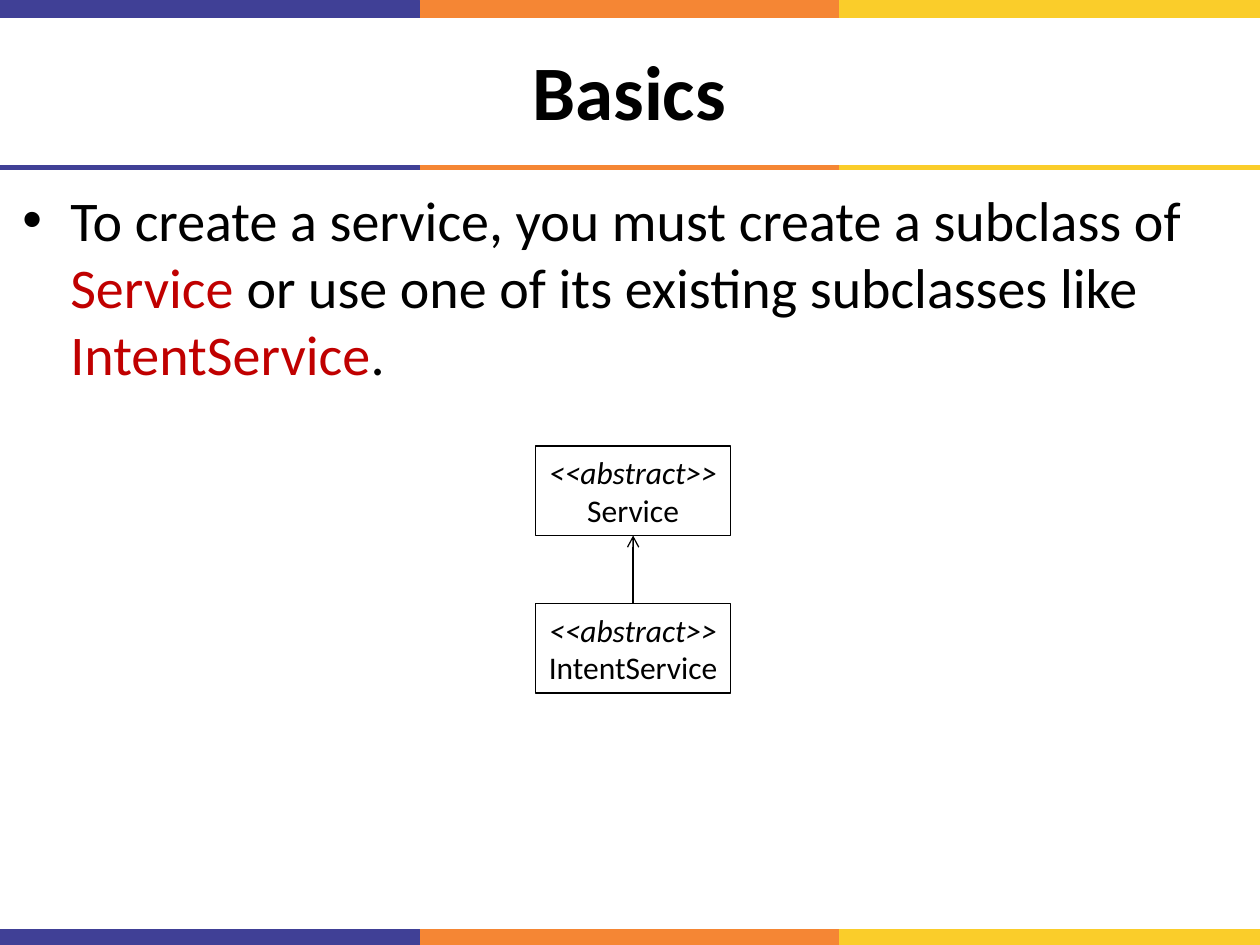
from itertools import pairwise
from lxml.etree import SubElement
from pptx import Presentation
from pptx.dml.color import RGBColor as RGB
from pptx.enum.shapes import MSO_CONNECTOR as CONN, MSO_SHAPE as SHAPE
from pptx.enum.text import MSO_ANCHOR as ANCHOR, PP_ALIGN as ALIGN
from pptx.oxml.ns import qn
from pptx.util import Inches, Pt

THEME = {
    "font": "Calibri", "ink": "000000", "accent": "C00000",
    "bands": ["404096", "F58634", "FACD2A"],
    "title": 44, "body": 32, "label": 18, "outline": 0.75,
}
TITLE = [[("Basics", {"bold": True})]]
BODY = [[
    ("To create a service, you must create a subclass of ", {}),
    ("Service", {"color": "accent"}),
    (" or use one of its existing subclasses like ", {}),
    ("IntentService", {"color": "accent"}),
    (".", {}),
]]
CLASSES = [("Service", 3.54), ("IntentService", 4.79)]
BOX_LEFT, BOX_WIDTH, BOX_HEIGHT = 4.25, 1.55, 0.71
BAND_ROWS = [(0.07, 10), (7.44, 10), (1.33, 3)]
BAND_EDGES = [0, 3.33, 6.66, 10]


def add_line(s, start, end, color, width):
    """Draw a straight line without a shadow and return it."""
    line = s.shapes.add_connector(CONN.STRAIGHT, *map(Inches, start + end))
    line.line.color.rgb = RGB.from_string(color)
    line.line.width = Pt(width)
    SubElement(line._element.spPr, qn("a:effectLst"))
    return line


def write(tf, paragraphs, size, align):
    """Fill a text frame with paragraphs of formatted runs."""
    for i, runs in enumerate(paragraphs):
        p = tf.paragraphs[0] if i == 0 else tf.add_paragraph()
        p.alignment = align
        for text, extra in runs:
            r = p.add_run()
            r.text = text
            values = {"name": THEME["font"], "size": Pt(THEME[size]), **extra}
            color = values.pop("color", "ink")
            for name, value in values.items():
                setattr(r.font, name, value)
            r.font.color.rgb = RGB.from_string(THEME[color])


def add_text(s, top, height, paragraphs, size, align, anchor):
    """Add a wrapping text box across the slide and return its frame."""
    tf = s.shapes.add_textbox(*map(Inches, (0.08, top, 9.83, height))).text_frame
    tf.word_wrap = True
    tf.vertical_anchor = anchor
    write(tf, paragraphs, size, align)
    return tf


def add_bullet(p):
    """Give a paragraph a hanging round bullet."""
    pPr = p._p.get_or_add_pPr()
    pPr.set("marL", str(Inches(0.38)))
    pPr.set("indent", str(Inches(-0.38)))
    SubElement(pPr, qn("a:buFont"), typeface="Arial")
    SubElement(pPr, qn("a:buChar"), char="•")


def add_class(s, name, top):
    """Add an outlined box for an abstract class."""
    sp = s.shapes.add_shape(
        SHAPE.RECTANGLE, *map(Inches, (BOX_LEFT, top, BOX_WIDTH, BOX_HEIGHT)))
    sp.shadow.inherit = False
    sp.fill.background()
    sp.line.color.rgb = RGB.from_string(THEME["ink"])
    sp.line.width = Pt(THEME["outline"])
    sp.text_frame.word_wrap = False
    label = [[("<<abstract>>", {"italic": True})], [(name, {})]]
    write(sp.text_frame, label, "label", ALIGN.CENTER)


def main():
    """Build the slide and save it."""
    prs = Presentation()
    prs.slide_width, prs.slide_height = Inches(10), Inches(7.5)
    s = prs.slides.add_slide(prs.slide_layouts[6])

    for y, width in BAND_ROWS:
        for (left, right), color in zip(pairwise(BAND_EDGES), THEME["bands"]):
            add_line(s, (left, y), (right, y), color, width)

    add_text(s, 0.17, 1.08, TITLE, "title", ALIGN.CENTER, ANCHOR.MIDDLE)
    body = add_text(s, 1.42, 1.75, BODY, "body", ALIGN.LEFT, ANCHOR.TOP)
    add_bullet(body.paragraphs[0])

    for name, top in CLASSES:
        add_class(s, name, top)
    (_, parent_top), (_, child_top) = CLASSES
    x = BOX_LEFT + BOX_WIDTH / 2
    arrow = add_line(s, (x, child_top), (x, parent_top + BOX_HEIGHT),
                     THEME["ink"], THEME["outline"])
    SubElement(arrow.line._get_or_add_ln(), qn("a:tailEnd"), type="arrow")

    prs.save("out.pptx")


if __name__ == "__main__":
    main()
